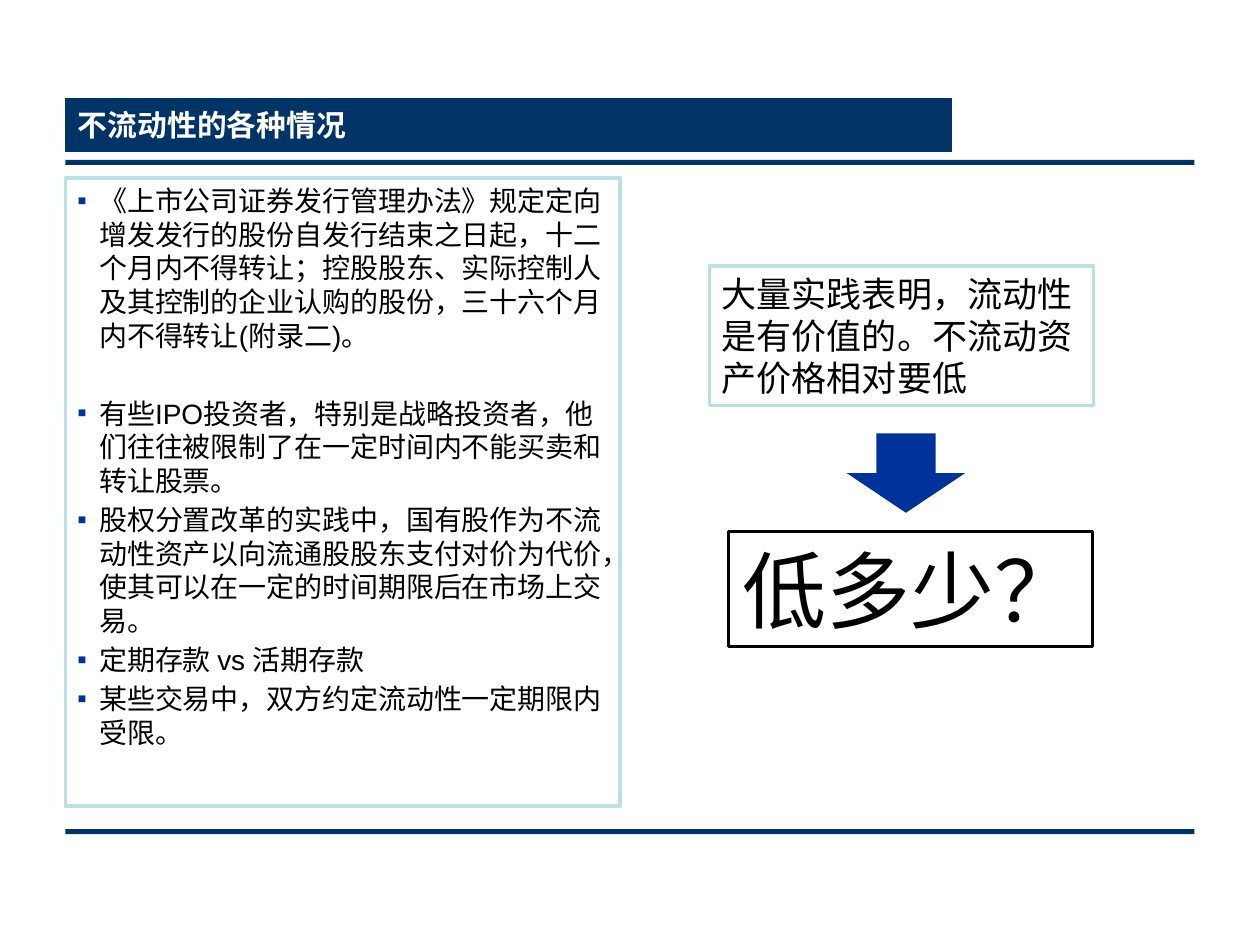
from lxml.etree import SubElement
from pptx import Presentation
from pptx.dml.color import RGBColor
from pptx.enum.lang import MSO_LANGUAGE_ID
from pptx.enum.shapes import MSO_SHAPE
from pptx.enum.text import MSO_ANCHOR, PP_ALIGN
from pptx.oxml.ns import qn
from pptx.util import Inches, Pt

NAVY, BLUE, PALE = "003366", "003399", "BBE0E3"
BLACK, WHITE = "000000", "FFFFFF"


def color(hex_code):
    return RGBColor.from_string(hex_code)


class Deck:
    """Holds the style and the current slide; lengths are grid cells."""
    font = "Arial"
    columns, rows = 100, 75

    def __init__(self, width, height):
        self.prs = Presentation()
        self.prs.slide_width = Inches(width)
        self.prs.slide_height = Inches(height)
        self.slide = self.prs.slides.add_slide(self.prs.slide_layouts[6])

    def place(self, left, top, width, height):
        across = self.prs.slide_width / self.columns
        down = self.prs.slide_height / self.rows
        return [round(n) for n in
                (left * across, top * down, width * across, height * down)]

    def block(self, cells, fill=None, line=None, weight=2, kind=MSO_SHAPE.RECTANGLE):
        shape = self.slide.shapes.add_shape(kind, *self.place(*cells))
        shape.shadow.inherit = False
        if fill:
            shape.fill.solid()
            shape.fill.fore_color.rgb = color(fill)
        else:
            shape.fill.background()
        if line:
            shape.line.color.rgb = color(line)
            shape.line.width = Pt(weight)
        else:
            shape.line.fill.background()
        return shape

    def add_text(self, paragraph, text, size, ink=BLACK, bold=False, align=PP_ALIGN.LEFT):
        paragraph.alignment = align
        run = paragraph.add_run()
        run.text = text
        run.font.name, run.font.size, run.font.bold = self.font, Pt(size), bold
        run.font.color.rgb = color(ink)
        run.font.language_id = MSO_LANGUAGE_ID.SIMPLIFIED_CHINESE

    def label(self, cells, text, size, ink=BLACK, bold=False, align=PP_ALIGN.LEFT, **look):
        frame = self.block(cells, **look).text_frame
        frame.word_wrap = True
        frame.vertical_anchor = MSO_ANCHOR.MIDDLE
        self.add_text(frame.paragraphs[0], text, size, ink, bold, align)

    def bullet(self, paragraph):
        props = paragraph._p.get_or_add_pPr()
        props.set("marL", str(Inches(0.17)))
        props.set("indent", str(-Inches(0.17)))
        SubElement(SubElement(props, qn("a:buClr")), qn("a:srgbClr"), val=BLUE)
        SubElement(props, qn("a:buSzPct"), val="50000")
        SubElement(props, qn("a:buFont"), typeface=self.font)
        SubElement(props, qn("a:buChar"), char="■")

    def bullets(self, cells, items, size, **look):
        frame = self.block(cells, **look).text_frame
        frame.word_wrap = True
        frame.vertical_anchor = MSO_ANCHOR.TOP
        for index, (text, gap) in enumerate(items):
            paragraph = frame.add_paragraph() if index else frame.paragraphs[0]
            paragraph.space_before = Pt(gap)
            self.bullet(paragraph)
            self.add_text(paragraph, text, size)


def main():
    deck = Deck(10, 7.5)
    margin = 5.2

    # Rules above and below the content
    for rule_top in (12.7, 65.8):
        deck.block((margin, rule_top, 89.6, 0.4), fill=NAVY)

    # Title band
    deck.label((margin, 7.8, 70.3, 4.2), "不流动性的各种情况", 17, WHITE, bold=True,
               fill=NAVY, line=NAVY, weight=0.75)

    # Cases of illiquidity, each with its space before in points
    gap, wide_gap = 3.2, 25.4
    cases = [
        ("《上市公司证券发行管理办法》规定定向增发发行的股份自发行结束之日起，十二个月内不得转让；"
         "控股股东、实际控制人及其控制的企业认购的股份，三十六个月内不得转让(附录二)。", gap),
        ("有些IPO投资者，特别是战略投资者，他们往往被限制了在一定时间内不能买卖和转让股票。", wide_gap),
        ("股权分置改革的实践中，国有股作为不流动性资产以向流通股股东支付对价为代价，"
         "使其可以在一定的时间期限后在市场上交易。", gap),
        ("定期存款 vs 活期存款", gap),
        ("某些交易中，双方约定流动性一定期限内受限。", gap),
    ]
    deck.bullets((margin, 14.1, 44, 49.9), cases, 16, line=PALE, weight=2.25)

    # Finding, arrow and question
    deck.label((56.3, 21.1, 30.5, 11.1), "大量实践表明，流动性是有价值的。不流动资产价格相对要低",
               20, fill=WHITE, line=PALE)
    deck.label((57.8, 42.2, 28.9, 9.1), "低多少？", 48, align=PP_ALIGN.CENTER,
               fill=WHITE, line=BLACK)
    deck.block((67.2, 34.4, 9.4, 6.3), fill=BLUE, kind=MSO_SHAPE.DOWN_ARROW)

    deck.prs.save("out.pptx")


if __name__ == "__main__":
    main()
